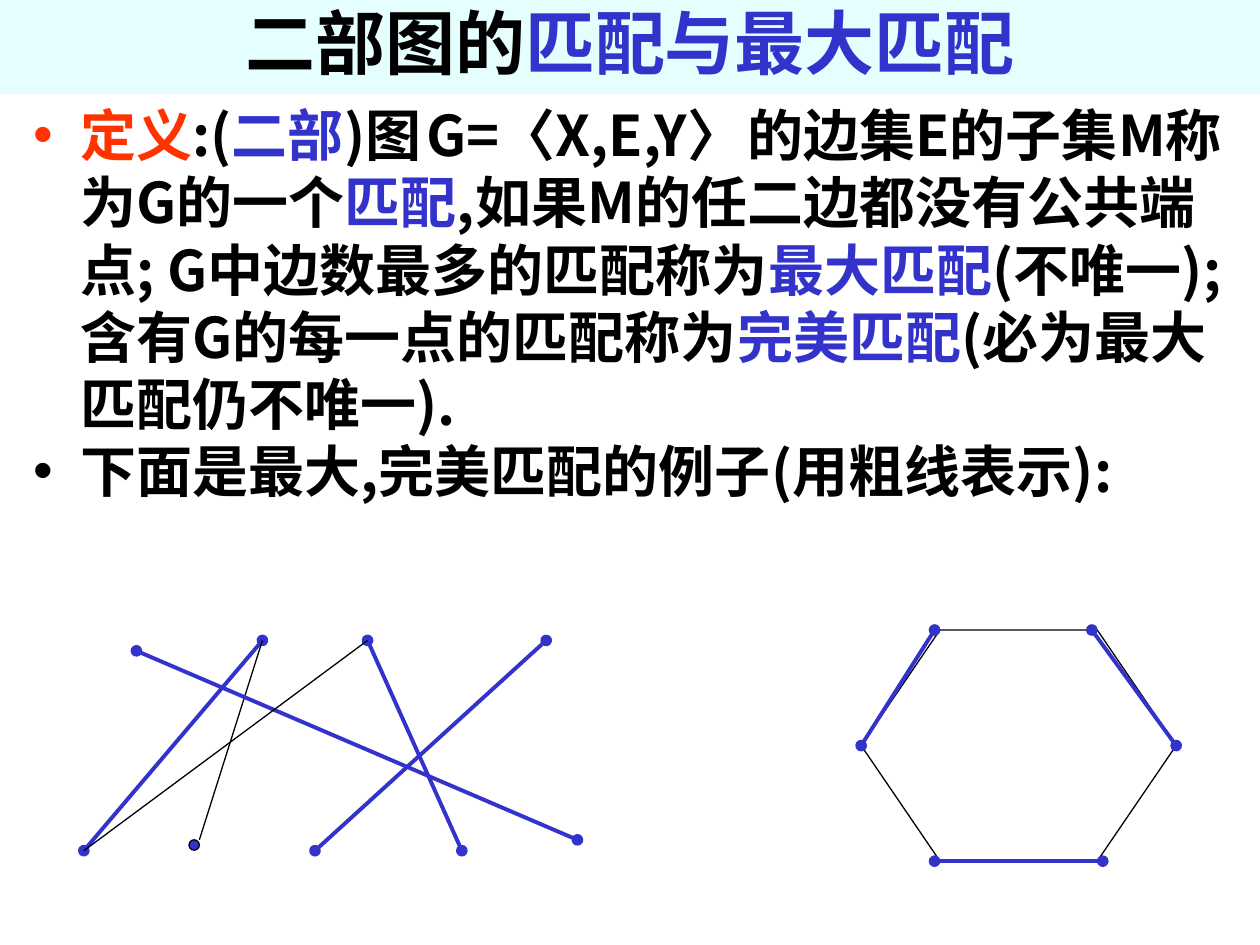
import pptx
import pptx.util
import pptx.dml.color
import pptx.enum.shapes
import pptx.enum.text
import pptx.oxml
import pptx.oxml.ns
import lxml.etree

Cm, Pt = pptx.util.Cm, pptx.util.Pt
COLORS = {"black": "000000", "blue": "3333CC", "red": "FF3300",
          "band": "CCFFFF", "white": "FFFFFF"}
FONT = "Noto Sans CJK SC"
INSETS = {"margin_left": Cm(0.25), "margin_right": Cm(0.25),
          "margin_top": Cm(0.13), "margin_bottom": Cm(0.13), "word_wrap": True}


def color(name):
    return pptx.dml.color.RGBColor.from_string(COLORS[name])


def add_xml(parent, tag, **attributes):
    return lxml.etree.SubElement(parent, pptx.oxml.ns.qn(tag), attributes)


def apply(target, values):
    for name, value in values.items():
        setattr(target, name, value)


class Slide:
    thin = ("black", 0.75)
    thick = ("blue", 2.25)

    def __init__(self, slide):
        self.shapes = slide.shapes

    def shape(self, kind, box, fill, line=None):
        shape = self.shapes.add_shape(kind, *map(Cm, box))
        shape.shadow.inherit = False
        shape.fill.solid()
        shape.fill.fore_color.rgb = color(fill)
        if line:
            self.stroke(shape.line, line)
        else:
            shape.line.fill.background()
        return shape

    def stroke(self, line, style):
        line.color.rgb = color(style[0])
        line.width = Pt(style[1])

    def edge(self, start, end, style):
        edge = self.shapes.add_connector(
            pptx.enum.shapes.MSO_CONNECTOR.STRAIGHT, *map(Cm, start + end))
        self.stroke(edge.line, style)
        if style == self.thick:
            line = edge.line._get_or_add_ln()
            for tag in ("a:headEnd", "a:tailEnd"):
                add_xml(line, tag, type="oval")
        add_xml(edge._element.spPr, "a:effectLst")

    def runs(self, paragraph, pieces, default_size):
        for text, tint, *special in pieces:
            size, face = special or (default_size, FONT)
            run = paragraph.add_run()
            run.text = text
            apply(run.font, {"size": Pt(size), "bold": True, "name": face})
            run.font.color.rgb = color(tint)
            add_xml(run.font._element, "a:ea", typeface=face)

    def title(self, box, pieces):
        band = self.shape(pptx.enum.shapes.MSO_SHAPE.RECTANGLE, box, "band")
        add_xml(band.fill._xPr.find(".//" + pptx.oxml.ns.qn("a:srgbClr")),
                "a:alpha", val="50000")
        apply(band.text_frame, INSETS | {
            "vertical_anchor": pptx.enum.text.MSO_ANCHOR.MIDDLE})
        heading = band.text_frame.paragraphs[0]
        apply(heading, {"alignment": pptx.enum.text.PP_ALIGN.CENTER,
                        "line_spacing": 0.9})
        self.runs(heading, pieces, 40)

    def bullets(self, box, items):
        frame = self.shapes.add_textbox(*map(Cm, box)).text_frame
        apply(frame, INSETS)
        for index, (tint, pieces) in enumerate(items):
            item = frame.add_paragraph() if index else frame.paragraphs[0]
            properties = item._p.get_or_add_pPr()
            properties.set("marL", str(Cm(0.95)))
            properties.set("indent", str(Cm(-0.95)))
            add_xml(add_xml(properties, "a:buClr"), "a:srgbClr", val=COLORS[tint])
            add_xml(properties, "a:buFont", typeface="Arial")
            add_xml(properties, "a:buChar", char="•")
            self.runs(item, pieces, 32)


def main():
    deck = pptx.Presentation()
    deck.slide_width, deck.slide_height = Cm(25.4), Cm(19.05)
    slide = Slide(deck.slides.add_slide(deck.slide_layouts[6]))

    # Title band
    slide.title((0, 0, 25.4, 1.9),
                [("二部图的", "black"), ("匹配与最大匹配", "blue")])

    # Definition and lead-in to the examples
    definition = [
        ("定义", "red"), (":(", "black"), ("二部", "blue"), (")图", "black"),
        (" ", "black", 12, FONT), ("G=", "black"), ("〈", "black", 32, "Arial"),
        ("X,E,Y", "black"), ("〉", "black", 32, "Arial"), (" ", "black", 10, FONT),
        ("的边集E的子集M称为G的一个", "black"), ("匹配", "blue"),
        (",如果M的任二边都没有公共端点; G中边数最多的匹配称为", "black"),
        ("最大匹配", "blue"), ("(不唯一);含有G的每一点的匹配称为", "black"),
        ("完美匹配", "blue"), ("(必为最大匹配仍不唯一).", "black")]
    examples = [("下面是最大,完美匹配的例子(用粗线表示):", "black")]
    slide.bullets((0.42, 1.9, 24.55, 16.72),
                  [("red", definition), ("black", examples)])

    # Maximum matching in a bipartite graph
    x1, x2, x3, x4 = (2.75, 13.12), (5.29, 12.91), (7.41, 12.91), (11.01, 12.91)
    y1, y2, y3, y4, y5 = ((1.69, 17.15), (4.02, 16.93), (6.35, 17.15),
                          (9.31, 17.15), (11.64, 16.93))
    for start, end, style in [
            (y1, x2, slide.thick), (x3, y4, slide.thick), (y3, x4, slide.thick),
            (x2, y2, slide.thin), (x1, y5, slide.thick), (y1, x3, slide.thin)]:
        slide.edge(start, end, style)

    # Perfect matching in a hexagon
    left, top, width, height = 17.36, 12.7, 6.35, 4.66
    right, bottom, middle = left + width, top + height, top + height / 2
    hexagon = slide.shape(pptx.enum.shapes.MSO_SHAPE.HEXAGON,
                          (left, top, width, height), "white", slide.thin)
    hexagon.adjustments[0] = 0.341
    hexagon.adjustments[1] = 1.155
    for start, end in [((18.84, top), (left, middle)),
                       ((22.01, top), (right, middle)),
                       ((18.84, bottom), (22.23, bottom))]:
        slide.edge(start, end, slide.thick)

    # Unmatched vertex
    slide.shape(pptx.enum.shapes.MSO_SHAPE.OVAL, (3.81, 16.93, 0.21, 0.21),
                "blue", slide.thin)

    deck.save("out.pptx")


if __name__ == "__main__":
    main()
